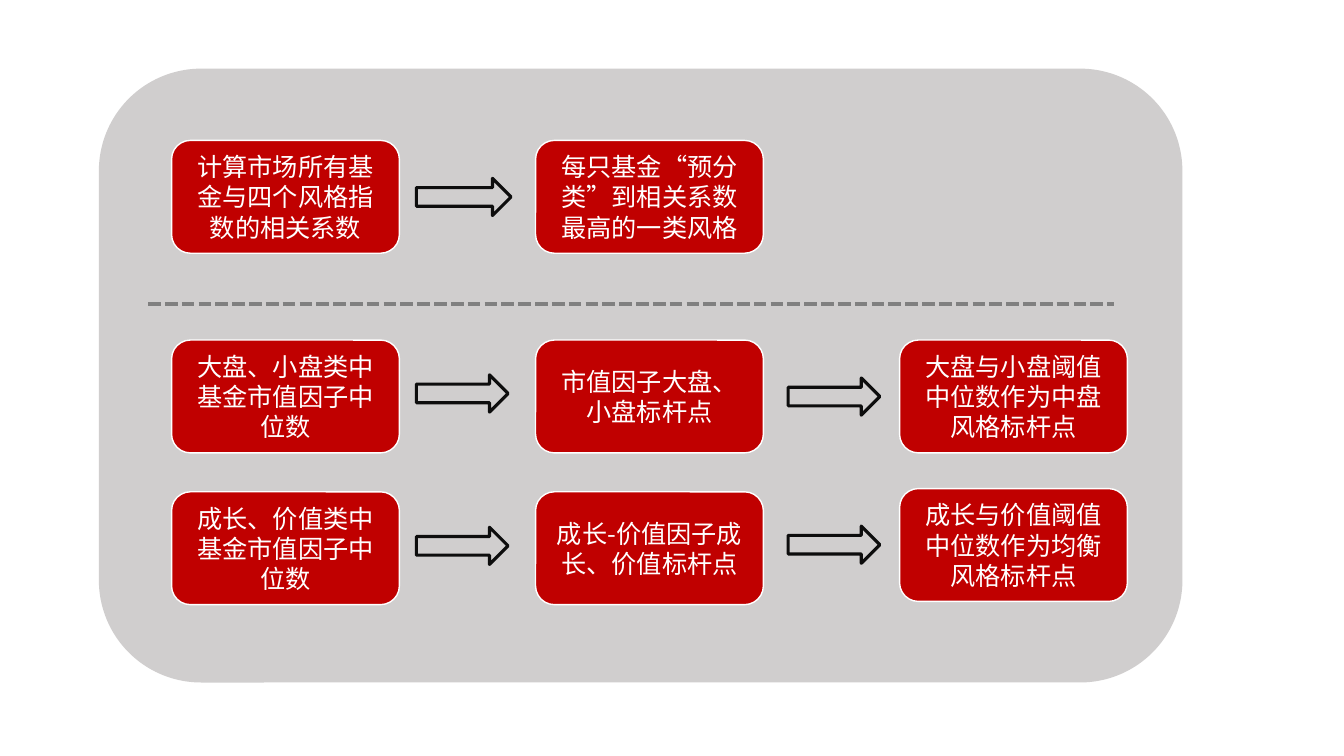
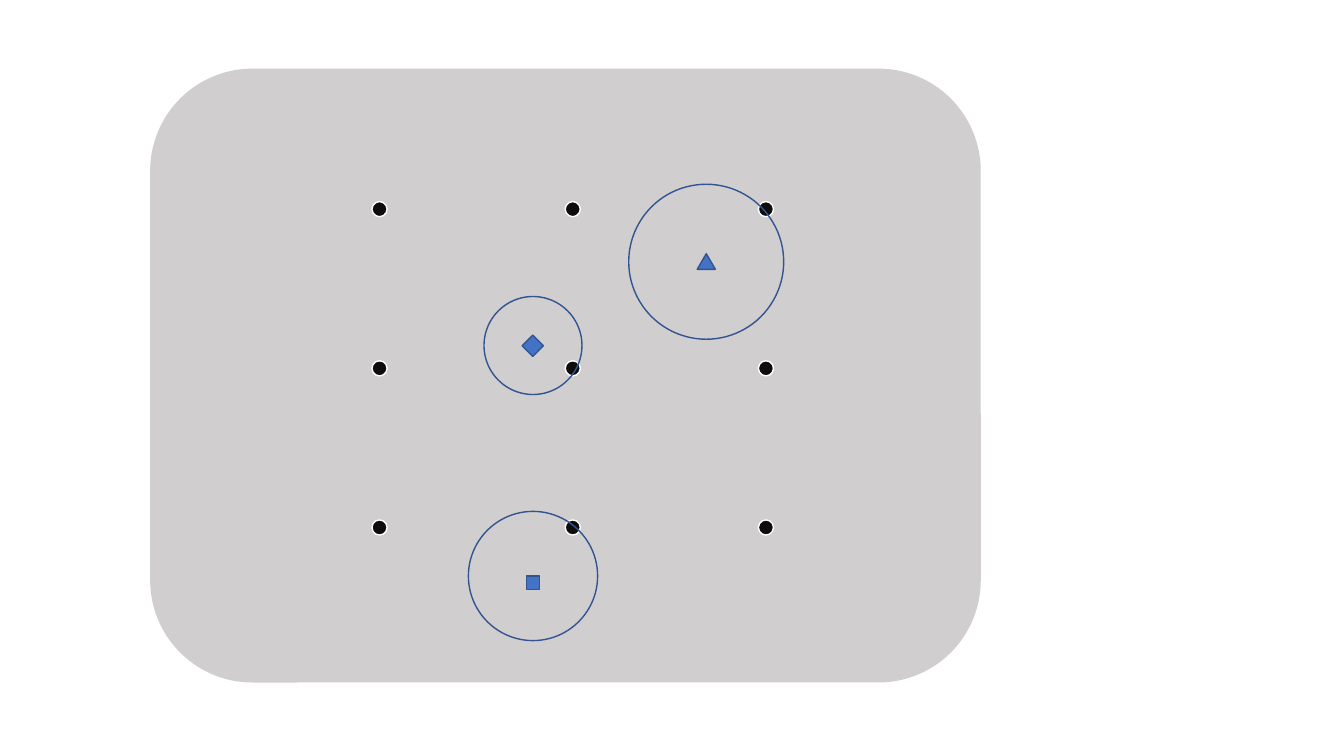
"""Builds two slides: a fund style classification flow and a style grid."""
from itertools import product

from lxml.etree import SubElement
from pptx import Presentation
from pptx.dml.color import RGBColor
from pptx.enum.dml import MSO_LINE as Dash
from pptx.enum.lang import MSO_LANGUAGE_ID as Language
from pptx.enum.shapes import MSO_CONNECTOR as Connector
from pptx.enum.shapes import MSO_SHAPE as Shape
from pptx.enum.text import MSO_ANCHOR as Anchor
from pptx.enum.text import PP_ALIGN as Align
from pptx.oxml.ns import qn
from pptx.util import Pt

COLORS = {
    "panel": "D0CECE", "step": "C00000", "ink": "0D0D0D", "white": "FFFFFF",
    "divider": "808080", "marker": "4472C4", "outline": "325491",
}


def color(name):
    return RGBColor.from_string(COLORS[name])


def write(frame, text, size=18, font="Noto Sans CJK SC", fill="white", align=Align.CENTER):
    frame.word_wrap = True
    frame.vertical_anchor = Anchor.MIDDLE
    paragraph = frame.paragraphs[0]
    paragraph.alignment = align
    run = paragraph.add_run()
    run.text = text
    run.font.size = Pt(size)
    run.font.name = font
    run.font.color.rgb = color(fill)
    run.font.language_id = Language.SIMPLIFIED_CHINESE
    SubElement(run.font._element, qn("a:ea"), typeface=font)


class Deck:
    def __init__(self):
        self.show = Presentation()
        self.show.slide_width, self.show.slide_height = Pt(960), Pt(540)
        self.slide = None

    def new_slide(self, panel_left, panel_width):
        self.slide = self.show.slides.add_slide(self.show.slide_layouts[6])
        self.shape(Shape.ROUNDED_RECTANGLE, panel_left, 49, panel_width, 438.5, fill="panel")

    def shape(self, kind, left, top, width, height, fill=None, line=None, weight=1):
        shape = self.slide.shapes.add_shape(kind, Pt(left), Pt(top), Pt(width), Pt(height))
        shape.shadow.inherit = False
        for part, name in ((shape.fill, fill), (shape.line.fill, line)):
            if name:
                part.solid()
                part.fore_color.rgb = color(name)
            else:
                part.background()
        if line:
            shape.line.width = Pt(weight)
        return shape

    def step(self, left, top, text):
        box = self.shape(Shape.ROUNDED_RECTANGLE, left, top, 162.7, 80.6, "step", "white")
        write(box.text_frame, text)

    def arrow(self, left, top, width=65.5):
        self.shape(Shape.RIGHT_ARROW, left, top, width, 26.6, line="ink", weight=2.25)

    def divider(self, left, right, y):
        rule = self.slide.shapes.add_connector(Connector.STRAIGHT, Pt(left), Pt(y), Pt(right), Pt(y))
        rule.line.color.rgb = color("divider")
        rule.line.width = Pt(3)
        rule.line.dash_style = Dash.SQUARE_DOT
        SubElement(rule._element.spPr, qn("a:effectLst"))

    def dot(self, left, top):
        self.shape(Shape.OVAL, left, top, 10.8, 10.8, "ink", "white")

    def circle(self, left, top, diameter):
        self.shape(Shape.OVAL, left, top, diameter, diameter, line="outline")

    def marker(self, kind, left, top, width, height):
        self.shape(kind, left, top, width, height, "marker", "outline")


deck = Deck()

deck.new_slide(70.6, 774)
deck.divider(105.8, 795.6, 217.4)
STEPS = [
    (0, 100.3, "计算市场所有基金与四个风格指数的相关系数"),
    (1, 100.3, "每只基金“预分类”到相关系数最高的一类风格"),
    (0, 242.9, "大盘、小盘类中基金市值因子中位数"),
    (1, 242.9, "市值因子大盘、小盘标杆点"),
    (2, 242.9, "大盘与小盘阈值中位数作为中盘风格标杆点"),
    (0, 351.3, "成长、价值类中基金市值因子中位数"),
    (1, 351.3, "成长-价值因子成长、价值标杆点"),
    (2, 349, "成长与价值阈值中位数作为均衡风格标杆点"),
]
for column, top, text in STEPS:
    deck.step(122.6 + 260 * column, top, text)
deck.arrow(297.4, 127.4, width=67.7)
for left, top in ((297.4, 267.8), (563, 270), (297.4, 376.6), (563, 375.8)):
    deck.arrow(left, top)

deck.new_slide(107.3, 593.3)
for row, column in product(range(3), repeat=2):
    deck.dot(265.7 + 138 * column, 144 + 113.7 * row)
for left, top, diameter in ((449.1, 131.6, 110.7), (334.6, 365.3, 92.3), (345.7, 211.8, 70)):
    deck.circle(left, top, diameter)
deck.marker(Shape.ISOSCELES_TRIANGLE, 498, 181.2, 13, 11.2)
deck.marker(Shape.RECTANGLE, 376, 411.5, 9.4, 9.4)
deck.marker(Shape.DIAMOND, 373, 239.4, 15.2, 15.2)

deck.show.save("out.pptx")
